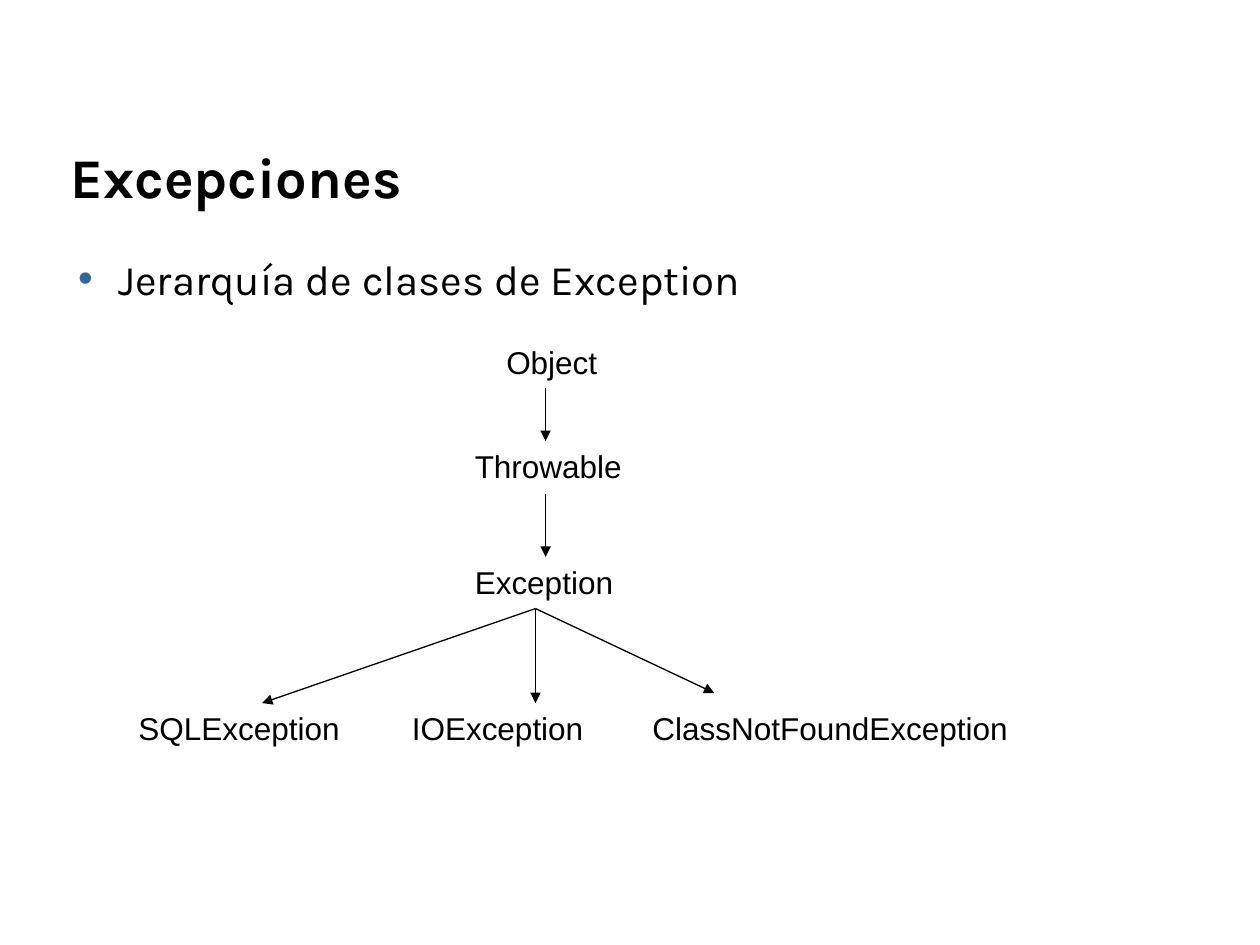
from dataclasses import dataclass

from lxml.etree import SubElement
from pptx import Presentation
from pptx.dml.color import RGBColor
from pptx.enum.shapes import MSO_CONNECTOR
from pptx.enum.text import MSO_ANCHOR, MSO_AUTO_SIZE
from pptx.oxml.ns import qn
from pptx.slide import Slide
from pptx.text.text import _Paragraph as Paragraph
from pptx.util import Inches, Pt


@dataclass(frozen=True)
class Theme:
    ink: RGBColor = RGBColor(0, 0, 0)
    bullet: str = "336699"
    heading_font: str = "Karla"
    label_font: str = "Arial"
    title_size: int = 32
    body_size: int = 24
    label_size: int = 18
    line_width: float = 0.75


@dataclass(frozen=True)
class ClassLabel:
    name: str
    left: float
    top: float
    width: float


@dataclass(frozen=True)
class Arrow:
    x1: float
    y1: float
    x2: float
    y2: float


THEME = Theme()
LABEL_HEIGHT = 0.4
SUBCLASS_TOP = 5.58
TRUNK_X = 4.33
FORK = (4.25, 4.83)

LABELS = [
    ClassLabel("Object", 3.92, 2.67, 1.17),
    ClassLabel("Throwable", 3.67, 3.5, 1.5),
    ClassLabel("Exception", 3.67, 4.42, 1.33),
    ClassLabel("SQLException", 1, SUBCLASS_TOP, 1.83),
    ClassLabel("IOException", 3.17, SUBCLASS_TOP, 1.58),
    ClassLabel("ClassNotFoundException", 5.08, SUBCLASS_TOP, 3.17),
]
TRUNK = [Arrow(TRUNK_X, y1, TRUNK_X, y2) for y1, y2 in [(3.08, 3.5), (3.92, 4.42)]]
BRANCHES = [Arrow(*FORK, x, y) for x, y in [(2.08, 5.58), (4.25, 5.58), (5.67, 5.5)]]


def add_text(s: Slide, text: str, left: float, top: float, width: float, height: float,
             font: str, size: int, bold: bool = False, inset: float = 0.05,
             anchor: MSO_ANCHOR = MSO_ANCHOR.TOP) -> Paragraph:
    tf = s.shapes.add_textbox(Inches(left), Inches(top), Inches(width), Inches(height)).text_frame
    tf.word_wrap = True
    tf.auto_size = MSO_AUTO_SIZE.NONE
    tf.vertical_anchor = anchor
    tf.margin_left = tf.margin_right = Inches(inset)
    tf.margin_top = tf.margin_bottom = Inches(0.05)
    p = tf.paragraphs[0]
    r = p.add_run()
    r.text = text
    r.font.name = font
    r.font.size = Pt(size)
    r.font.bold = bold
    r.font.color.rgb = THEME.ink
    return p


def add_bullet(p: Paragraph) -> None:
    pPr = p._p.get_or_add_pPr()
    pPr.set("marL", str(Inches(0.38)))
    pPr.set("indent", str(Inches(-0.32)))
    color = SubElement(pPr, qn("a:buClr"))
    SubElement(color, qn("a:srgbClr"), val=THEME.bullet)
    SubElement(pPr, qn("a:buFont"), typeface=THEME.label_font)
    SubElement(pPr, qn("a:buChar"), char="•")


def add_label(s: Slide, label: ClassLabel) -> None:
    add_text(s, label.name, label.left, label.top, label.width, LABEL_HEIGHT,
             THEME.label_font, THEME.label_size, inset=0.1)


def add_arrow(s: Slide, arrow: Arrow) -> None:
    sp = s.shapes.add_connector(MSO_CONNECTOR.STRAIGHT, Inches(arrow.x1), Inches(arrow.y1),
                                Inches(arrow.x2), Inches(arrow.y2))
    sp.line.color.rgb = THEME.ink
    sp.line.width = Pt(THEME.line_width)
    SubElement(sp.line._get_or_add_ln(), qn("a:tailEnd"), type="triangle")
    SubElement(sp._element.spPr, qn("a:effectLst"))


def main() -> None:
    prs = Presentation()
    prs.slide_width, prs.slide_height = Inches(10), Inches(7.5)
    s = prs.slides.add_slide(prs.slide_layouts[6])

    # Title and bulleted heading
    add_text(s, "Excepciones", 0.51, 0.76, 8.99, 0.95, THEME.heading_font,
             THEME.title_size, bold=True, anchor=MSO_ANCHOR.BOTTOM)
    p = add_text(s, "Jerarquía de clases de Exception", 0.51, 1.86, 9, 5.2,
                 THEME.heading_font, THEME.body_size)
    p.line_spacing = 1.25
    p.space_before = Pt(15)
    add_bullet(p)

    # Class hierarchy
    for label in LABELS:
        add_label(s, label)
    for arrow in TRUNK + BRANCHES:
        add_arrow(s, arrow)

    prs.save("out.pptx")


if __name__ == "__main__":
    main()
